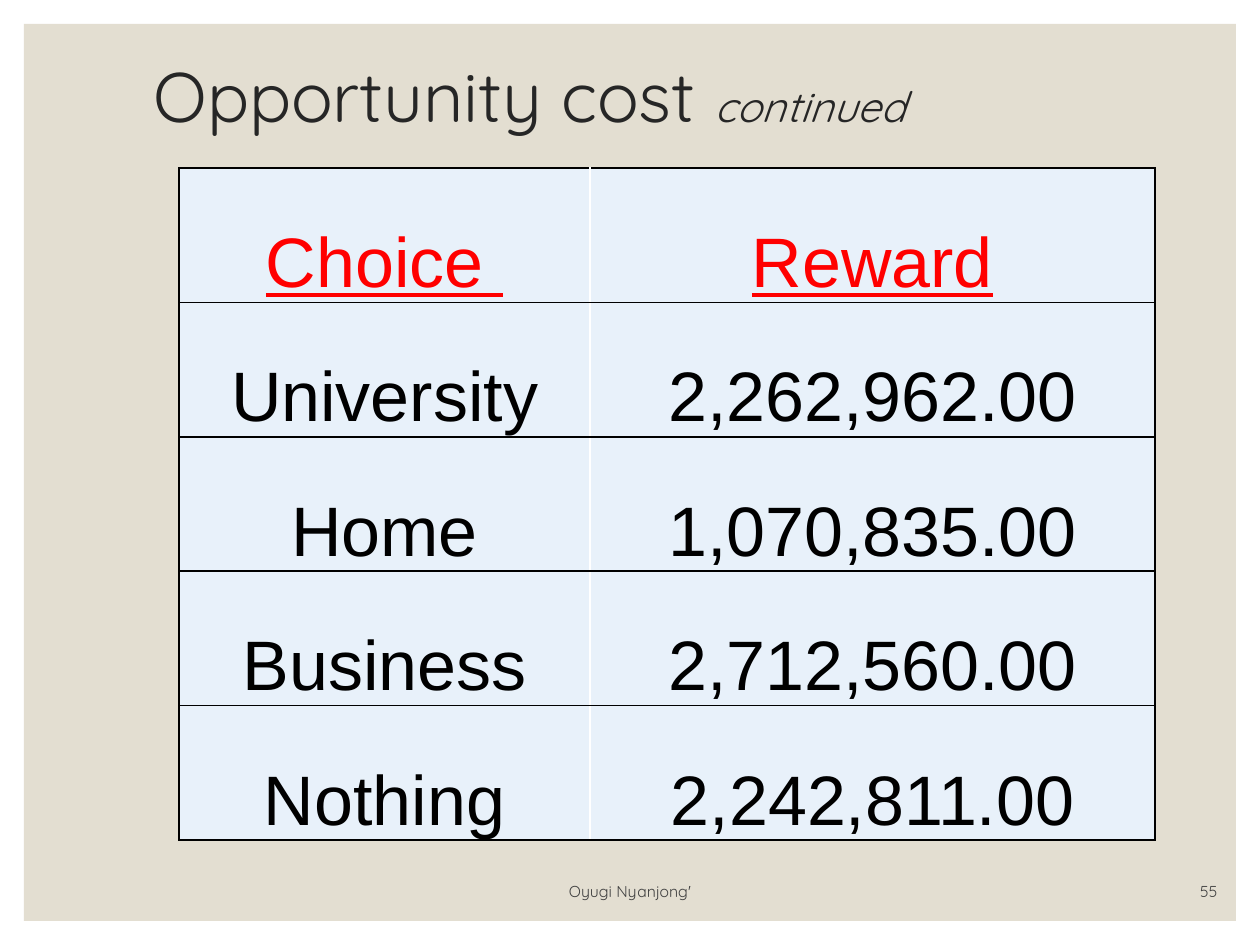
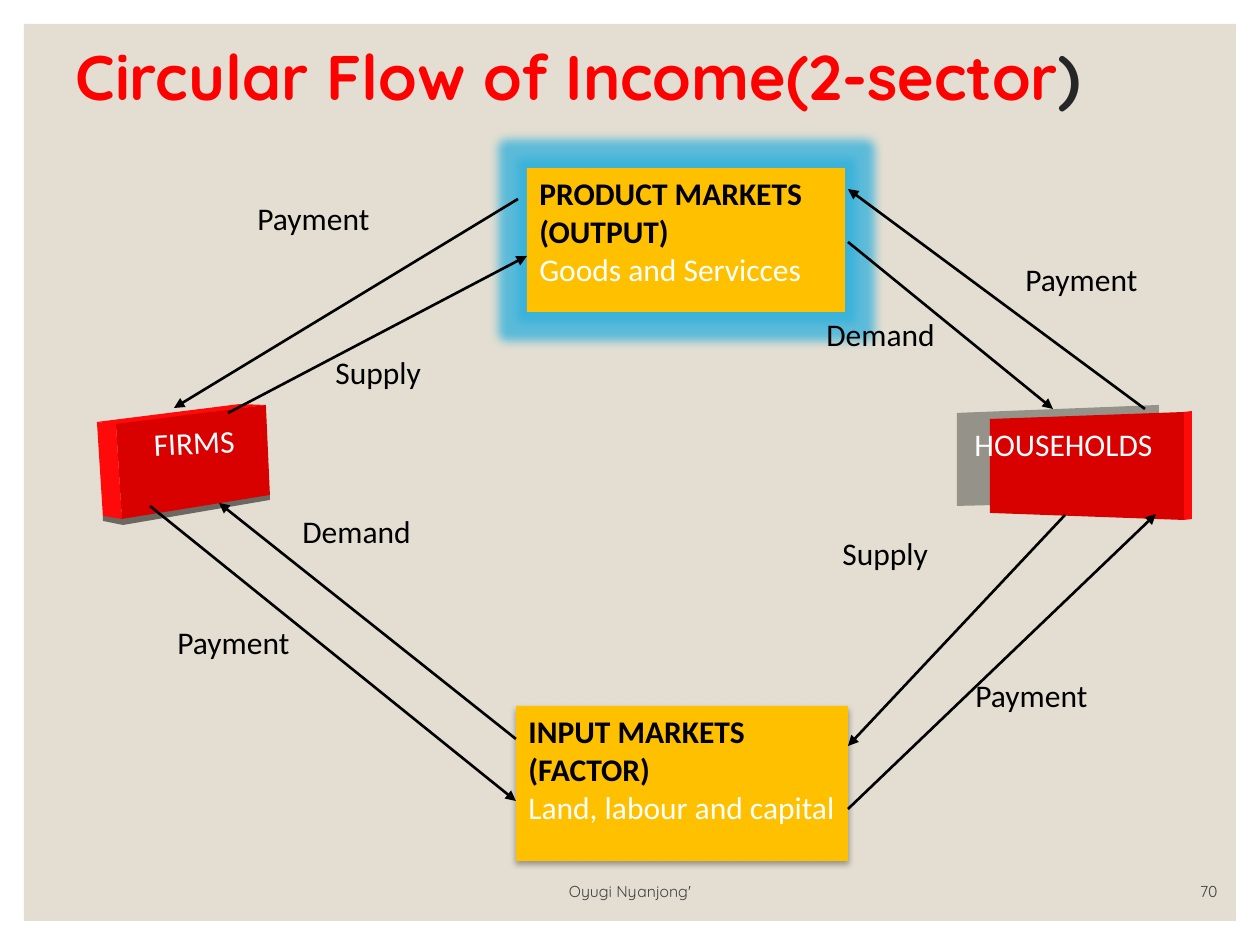
from lxml import etree
from pptx import Presentation
from pptx.dml.color import RGBColor
from pptx.enum.shapes import MSO_CONNECTOR, MSO_SHAPE
from pptx.enum.text import MSO_ANCHOR, MSO_AUTO_SIZE, PP_ALIGN
from pptx.oxml import parse_xml
from pptx.oxml.ns import nsdecls, qn
from pptx.util import Pt

PX = 914400 / 126
RECT = MSO_SHAPE.RECTANGLE
LINE = MSO_CONNECTOR.STRAIGHT
LEFT, MID, RIGHT = PP_ALIGN.LEFT, PP_ALIGN.CENTER, PP_ALIGN.RIGHT
TOP, CENTRE, BASE = MSO_ANCHOR.TOP, MSO_ANCHOR.MIDDLE, MSO_ANCHOR.BOTTOM
FIXED = MSO_AUTO_SIZE.NONE

BLACK = RGBColor(0x00, 0x00, 0x00)
WHITE = RGBColor(0xFF, 0xFF, 0xFF)
RED = RGBColor(0xFF, 0x00, 0x00)
FACE = RGBColor(0xD9, 0x00, 0x00)
SIDE = RGBColor(0xFF, 0x0A, 0x0A)
GOLD = RGBColor(0xFF, 0xC0, 0x00)
SAND = RGBColor(0xE3, 0xDE, 0xD1)
ICE = RGBColor(0xE8, 0xF1, 0xFA)
INK = RGBColor(0x26, 0x26, 0x26)
GREY = RGBColor(0x40, 0x40, 0x40)
SHADE = RGBColor(0x95, 0x92, 0x89)
DARK = RGBColor(0x6B, 0x68, 0x62)

GLOW = ('<a:glow %s rad="139700"><a:srgbClr val="2FB0DC">'
        '<a:alpha val="75000"/></a:srgbClr></a:glow>')
DROP = ('<a:outerShdw %s blurRad="44450" dist="27940" dir="5400000">'
        '<a:srgbClr val="000000"><a:alpha val="32000"/></a:srgbClr>'
        '</a:outerShdw>')


def px(*nums):
    return [round(n * PX) for n in nums]


class Deck:
    head = "Quicksand"
    body = "Calibri"

    def __init__(self):
        self.prs = Presentation()
        self.prs.slide_width, self.prs.slide_height = px(1260, 945)

    def page(self, num, box, runs):
        """Start a slide with its band, title and footer."""
        self.slide = self.prs.slides.add_slide(self.prs.slide_layouts[5])
        self.shapes = self.slide.shapes
        title = self.shapes.title
        band = self.rect((24, 24, 1212, 897), SAND)
        title._element.addprevious(band._element)
        title.left, title.top, title.width, title.height = px(*box)
        self.fill(title.text_frame, [runs], LEFT, CENTRE)
        title.text_frame.paragraphs[0].line_spacing = 0.9
        for text, spot, side in (("Oyugi Nyanjong'", (358, 869, 544, 38), MID),
                                 (num, (1079, 869, 151, 38), RIGHT)):
            self.text(spot, [[(text, 9, GREY, {"name": self.head})]], side, BASE)

    def fill(self, frame, paras, align=LEFT, anchor=TOP):
        """Write paragraphs, each a list of (text, size, colour, font extras)."""
        frame.word_wrap = True
        frame.auto_size = FIXED
        frame.vertical_anchor = anchor
        for i, runs in enumerate(paras):
            para = frame.add_paragraph() if i else frame.paragraphs[0]
            self.runs(para, runs, align)

    def runs(self, para, runs, align):
        para.alignment = align
        for text, size, tone, more in runs:
            run = para.add_run()
            run.text = text
            font = run.font
            font.name, font.size = self.body, Pt(size)
            font.color.rgb = tone
            for key, val in more.items():
                setattr(font, key, val)

    def text(self, box, paras, align=LEFT, anchor=TOP, turn=0):
        item = self.shapes.add_textbox(*px(*box))
        item.rotation = turn
        self.fill(item.text_frame, paras, align, anchor)

    def paint(self, shape, tone):
        shape.shadow.inherit = False
        shape.fill.solid()
        shape.fill.fore_color.rgb = tone
        shape.line.fill.background()
        return shape

    def rect(self, box, tone):
        return self.paint(self.shapes.add_shape(RECT, *px(*box)), tone)

    def market(self, box, paras, effect):
        shape = self.rect(box, GOLD)
        glow = shape._element.spPr.find(qn("a:effectLst"))
        glow.append(parse_xml(effect % nsdecls("a")))
        self.fill(shape.text_frame, paras)

    def poly(self, tone, start, *rest):
        form = self.shapes.build_freeform(*start, scale=PX)
        form.add_line_segments(rest, close=True)
        self.paint(form.convert_to_shape(), tone)

    def arrow(self, *ends):
        item = self.shapes.add_connector(LINE, *px(*ends))
        item.line.width = Pt(1.5)
        item.line.color.rgb = BLACK
        props = item._element.spPr
        etree.SubElement(props.find(qn("a:ln")), qn("a:tailEnd"), type="triangle")
        etree.SubElement(props, qn("a:effectLst"))

    def table(self, box, cols, rows):
        grid = self.shapes.add_table(len(rows), len(cols), *px(*box)).table
        grid.first_row = grid.horz_banding = False
        for col, wide in zip(grid.columns, px(*cols)):
            col.width = wide
        for r, row in enumerate(rows):
            for c, text in enumerate(row):
                cell = grid.cell(r, c)
                cell.fill.solid()
                cell.fill.fore_color.rgb = ICE
                cell.vertical_anchor = BASE
                cell.margin_left, cell.margin_right, cell.margin_top = px(1, 1, 1)
                cell.margin_bottom = 0
                more = {"name": "Arial", "underline": r == 0}
                run = (text, 40, BLACK if r else RED, more)
                self.runs(cell.text_frame.paragraphs[0], [run], MID)
                inner = "R" if c == 0 else "L"
                self.edges(cell, {s: WHITE if s == inner else BLACK for s in "LRTB"})

    def edges(self, cell, tones):
        props = cell._tc.get_or_add_tcPr()
        for i, (side, tone) in enumerate(tones.items()):
            props.insert(i, parse_xml(
                f'<a:ln{side} {nsdecls("a")} w="12700"><a:solidFill>'
                f'<a:srgbClr val="{tone}"/></a:solidFill></a:ln{side}>'))


def cost(deck):
    deck.page("55", (141, 32, 993, 136), [
        ("Opportunity cost ", 40, INK, {"name": deck.head}),
        ("continued", 24, INK, {"name": deck.head, "italic": True})])
    deck.table((179, 168, 976, 672), (411, 565), [
        ("Choice ", "Reward"),
        ("University", "2,262,962.00"),
        ("Home", "1,070,835.00"),
        ("Business", "2,712,560.00"),
        ("Nothing", "2,242,811.00")])


def flow(deck):
    bold = {"name": deck.head, "bold": True}
    deck.page("70", (63, 14, 1134, 133), [
        ("Circular Flow of Income(2-sector", 36, RED, bold),
        (")", 36, INK, bold)])

    markets = [
        ((527, 168, 318, 144), GLOW,
         ["PRODUCT MARKETS (OUTPUT)"], "Goods and Servicces"),
        ((516, 706, 332, 155), DROP,
         ["INPUT MARKETS", "(FACTOR)"], "Land, labour and capital")]
    for box, effect, names, goods in markets:
        paras = [[(name, 18, BLACK, {"bold": True})] for name in names]
        deck.market(box, paras + [[(goods, 18, WHITE, {})]], effect)

    # Households block: shadow, face, right side
    deck.poly(SHADE, (957, 413), (1159, 405), (1159, 501), (957, 506))
    deck.poly(FACE, (990, 419), (1184, 412), (1184, 520), (990, 513))
    deck.poly(SIDE, (1184, 412), (1192, 411), (1192, 519), (1184, 520))
    deck.text((962, 419, 235, 60), [[("HOUSEHOLDS", 18, WHITE, {})]])

    # Firms block: shadow, top, left side, face
    deck.poly(DARK, (103, 515), (270, 494), (270, 500), (123, 525), (103, 521))
    deck.poly(SIDE, (97, 422), (240, 404), (266, 405), (116, 425))
    deck.poly(SIDE, (97, 422), (116, 424), (122, 519), (103, 516))
    deck.poly(FACE, (116, 424), (266, 405), (270, 495), (122, 519))
    deck.text((104, 417, 180, 50), [[("FIRMS", 18, WHITE, {})]], MID, CENTRE, -3)

    for ends in [
            (228, 413, 527, 256), (1065, 515, 848, 746),
            (848, 242, 1053, 409), (1145, 409, 848, 189),
            (848, 809, 1156, 514), (518, 199, 174, 408),
            (150, 506, 516, 801), (516, 739, 219, 503)]:
        deck.arrow(*ends)

    for text, left, top in [
            ("Payment", 165, 617), ("Demand", 290, 506),
            ("Demand", 814, 309), ("Payment", 1013, 254),
            ("Supply", 323, 347), ("Supply", 830, 528),
            ("Payment", 963, 670), ("Payment", 245, 193)]:
        deck.text((left, top, 181, 89), [[(text, 18, BLACK, {})]])


def main():
    deck = Deck()
    cost(deck)
    flow(deck)
    deck.prs.save("out.pptx")


if __name__ == "__main__":
    main()
